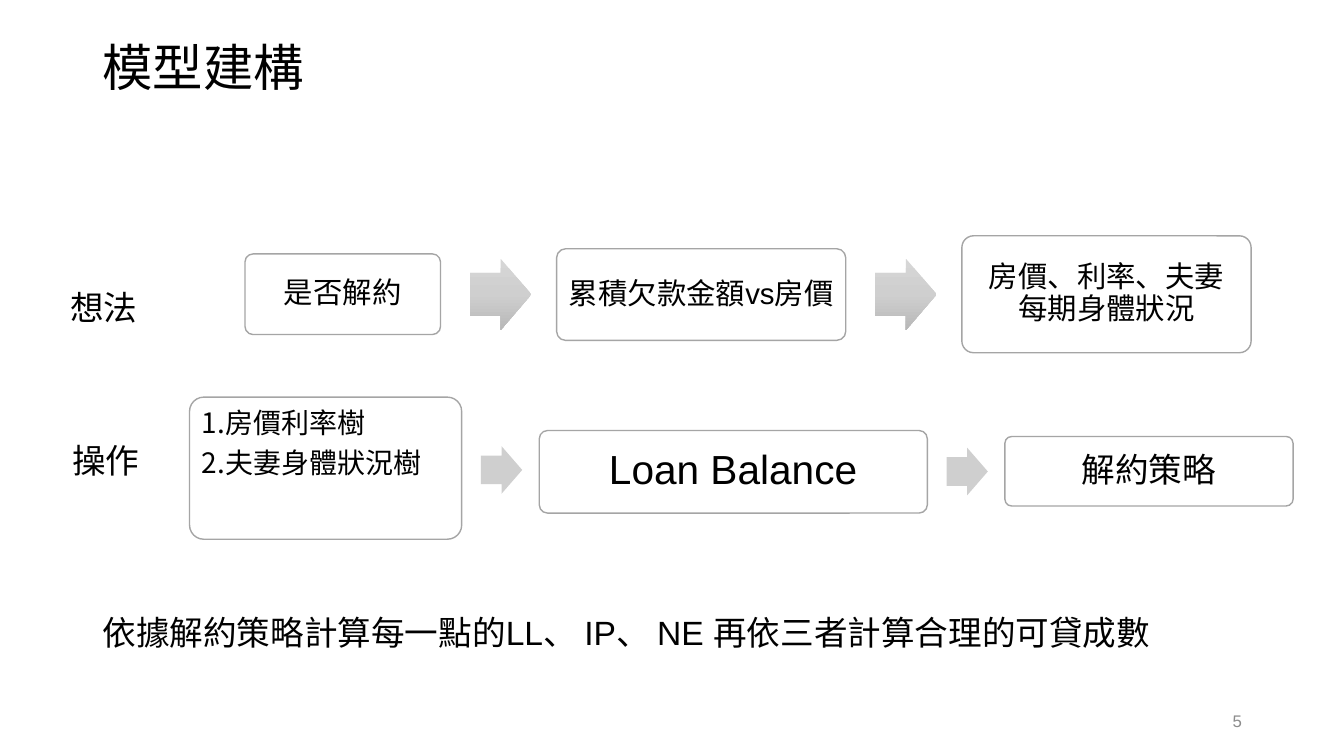
"""Build the model construction slide: two rows of linked boxes and a closing line."""
from copy import deepcopy
from pptx import Presentation
from pptx.dml.color import RGBColor
from pptx.enum import shapes, text
from pptx.oxml import ns, xmlchemy
from pptx.util import Pt

LATIN, TC, SC = "Arial", "Noto Sans CJK TC", "Noto Sans CJK SC"
LEFT, MID, RIGHT = text.PP_ALIGN.LEFT, text.PP_ALIGN.CENTER, text.PP_ALIGN.RIGHT
TOP, HALF = text.MSO_ANCHOR.TOP, text.MSO_ANCHOR.MIDDLE

LABELS = [
    (66.2, 28.8, 828, 42.5, [[("模型建構", LATIN)]], 36, "000000", LEFT, HALF, 0.9),
    (66.2, 433.4, 858.2, 36, [[
        ("依據解約策略計算每一點的LL", LATIN), ("、", TC), (" IP", LATIN), ("、", TC),
        (" NE 再依三者計算合理的可貸成數", LATIN)]], 24, "000000", LEFT, TOP, 1),
    (43.2, 201.6, 91.4, 36, [[("想法", SC)]], 24, "000000", LEFT, TOP, 1),
    (44.6, 311, 74.2, 36, [[("操作", SC)]], 24, "000000", LEFT, TOP, 1),
    (678.2, 500.4, 216, 28.8, [[("5", LATIN)]], 12, "8C8C8C", RIGHT, HALF, 1),
]

IDEAS = {
    "left": 175, "before": 20.9, "after": 18, "arrow": (44, 51),
    "fade": ["D6D6D6", "CFCFCF", "B8B8B8"],
    "boxes": [
        (139.7, 57.6, 210.2, [[("是否解約", LATIN)]], 21, 6.5, MID, HALF),
        (206.6, 65.5, 210.4, [[("累積欠款金額vs房價", LATIN)]], 21, 6.5, MID, HALF),
        (206.6, 83.5, 210.2, [[("房價", LATIN), ("、利率、夫妻每期身體狀況", TC)]],
         21, 6.5, MID, HALF),
    ],
}
STEPS = {
    "left": 135.4, "before": 13.7, "after": 12.2, "arrow": (29.5, 34),
    "fade": ["CFCFCF"],
    "boxes": [
        (194.4, 101.5, 334.4, [[("1.房價利率樹", SC)], [("2.夫妻身體狀況樹", SC)]],
         20, 5.8, LEFT, TOP),
        (277.2, 59, 337, [[("Loan Balance", LATIN)]], 29, 8.6, MID, HALF),
        (205.9, 49.7, 336.6, [[("解約策略", SC)]], 24, 7.2, MID, HALF),
    ],
}


def tint(code):
    return RGBColor.from_string(code)


def write(frame, paras, size, color, align, anchor, lead, after=0):
    frame.word_wrap = True
    frame.vertical_anchor = anchor
    for i, parts in enumerate(paras):
        para = frame.add_paragraph() if i else frame.paragraphs[0]
        para.alignment = align
        para.line_spacing = lead
        para.space_after = Pt(after)
        for words, face in parts:
            run = para.add_run()
            run.text = words
            run.font.size = Pt(size)
            run.font.name = face
            run.font.color.rgb = tint(color)
            east = xmlchemy.OxmlElement("a:ea")
            east.set("typeface", TC if face == LATIN else face)
            run.font._element.find(ns.qn("a:latin")).addnext(east)


def block(slide, kind, left, mid, wide, high, ratios):
    shape = slide.shapes.add_shape(kind, Pt(left), Pt(mid - high / 2), Pt(wide), Pt(high))
    shape.shadow.inherit = False
    for i, ratio in enumerate(ratios):
        shape.adjustments[i] = ratio
    return shape


def box(slide, left, item):
    wide, high, mid, paras, size, inset, align, anchor = item
    shape = block(slide, shapes.MSO_SHAPE.ROUNDED_RECTANGLE, left, mid, wide, high, [0.1])
    shape.fill.solid()
    shape.fill.fore_color.rgb = tint("FFFFFF")
    shape.line.color.rgb = tint("A5A5A5")
    shape.line.width = Pt(1)
    frame = shape.text_frame
    frame.margin_left = frame.margin_right = Pt(inset)
    frame.margin_top = frame.margin_bottom = Pt(inset)
    write(frame, paras, size, "000000", align, anchor, 0.9, round(size * 0.35, 1))


def arrow(slide, left, mid, size, fade):
    shape = block(slide, shapes.MSO_SHAPE.RIGHT_ARROW, left, mid, *size, [0.6, 0.5])
    shape.line.fill.background()
    if len(fade) == 1:
        shape.fill.solid()
        shape.fill.fore_color.rgb = tint(fade[0])
        return
    shape.fill.gradient()
    shape.fill.gradient_angle = 270
    first = shape._element.spPr.find(".//" + ns.qn("a:gs"))
    first.addnext(deepcopy(first))
    for i, (stop, code) in enumerate(zip(shape.fill.gradient_stops, fade)):
        stop.position = i / 2
        stop.color.rgb = tint(code)


def flow(slide, row):
    left, last = row["left"], None
    for item in row["boxes"]:
        if last:
            left += row["before"]
            arrow(slide, left, (last[2] + item[2]) / 2, row["arrow"], row["fade"])
            left += row["arrow"][0] + row["after"]
        box(slide, left, item)
        left, last = left + item[0], item


def main():
    deck = Presentation()
    deck.slide_width, deck.slide_height = Pt(960), Pt(540)
    slide = deck.slides.add_slide(deck.slide_layouts[6])
    for left, top, wide, high, *style in LABELS:
        label = slide.shapes.add_textbox(Pt(left), Pt(top), Pt(wide), Pt(high))
        write(label.text_frame, *style)
    for row in (IDEAS, STEPS):
        flow(slide, row)
    deck.save("out.pptx")


if __name__ == "__main__":
    main()
